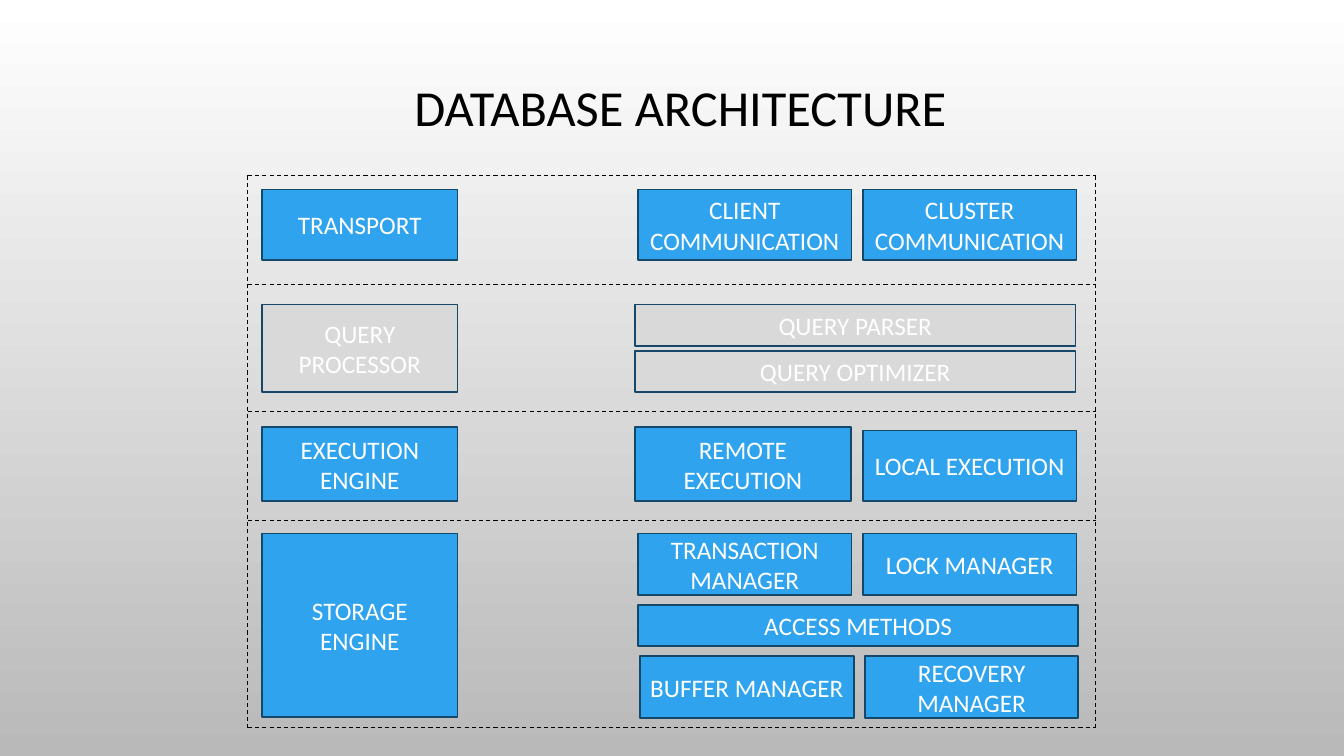
from itertools import accumulate

from lxml.etree import SubElement
from pptx import Presentation
from pptx.dml.color import RGBColor
from pptx.enum.dml import MSO_LINE
from pptx.enum.shapes import MSO_CONNECTOR, MSO_SHAPE
from pptx.enum.text import MSO_ANCHOR, PP_ALIGN
from pptx.oxml.ns import qn
from pptx.util import Pt

WHITE = RGBColor(0xFF, 0xFF, 0xFF)
BLACK = RGBColor(0x00, 0x00, 0x00)
BACKDROP_GREY = RGBColor(0xB9, 0xB9, 0xB9)
BLUE = RGBColor(0x2F, 0xA3, 0xEE)
PALE_GREY = RGBColor(0xD9, 0xD9, 0xD9)
NAVY = RGBColor(0x15, 0x47, 0x68)

FONT = "Calibri"
LABEL_LEFT, LABEL_WIDTH = 10.1, 139.7
HALF, WIDE_HALF, FULL = 152.6, 154.1, 314.6

# Each layer: name, height, fill, label top, label height, modules.
# Each module: name, left, top, width, height, measured from the layer corner.
LAYERS = [
    ("TRANSPORT", 77.8, BLUE, 10.1, 50.4, [
        ("CLIENT COMMUNICATION", 278.6, 10.1, HALF, 50.4),
        ("CLUSTER COMMUNICATION", 439.2, 10.1, HALF, 50.4),
    ]),
    ("QUERY PROCESSOR", 90.7, PALE_GREY, 14.4, 62.6, [
        ("QUERY PARSER", 276.5, 14.4, FULL, 29.5),
        ("QUERY OPTIMIZER", 276.5, 47.5, FULL, 29.5),
    ]),
    ("EXECUTION ENGINE", 77.8, BLUE, 11.5, 52.6, [
        ("REMOTE EXECUTION", 276.5, 11.5, WIDE_HALF, 52.6),
        ("LOCAL EXECUTION", 439.2, 13.7, HALF, 50.4),
    ]),
    ("STORAGE ENGINE", 148.3, BLUE, 9.4, 131, [
        ("TRANSACTION MANAGER", 278.6, 9.4, HALF, 43.9),
        ("LOCK MANAGER", 439.2, 9.4, HALF, 43.9),
        ("ACCESS METHODS", 278.6, 60.5, FULL, 29.5),
        ("BUFFER MANAGER", 280.1, 97.2, HALF, 43.9),
        ("RECOVERY MANAGER", 440.6, 97.2, HALF, 43.9),
    ]),
]


def set_text(shape, text, size, color):
    """Put one centred paragraph in the middle of the shape."""
    frame = shape.text_frame
    frame.word_wrap = True
    frame.vertical_anchor = MSO_ANCHOR.MIDDLE
    frame.text = text
    para = frame.paragraphs[0]
    para.alignment = PP_ALIGN.CENTER
    para.font.name = FONT
    para.font.size = Pt(size)
    para.font.color.rgb = color
    return para


def add_block(page, name, left, top, width, height, fill):
    block = page.shapes.add_shape(
        MSO_SHAPE.RECTANGLE, Pt(left), Pt(top), Pt(width), Pt(height))
    block.shadow.inherit = False
    block.fill.solid()
    block.fill.fore_color.rgb = fill
    block.line.color.rgb = NAVY
    block.line.width = Pt(1.25)
    set_text(block, name, 18, WHITE)


def add_dashed_line(page, x1, y1, x2, y2):
    rule = page.shapes.add_connector(
        MSO_CONNECTOR.STRAIGHT, Pt(x1), Pt(y1), Pt(x2), Pt(y2))
    rule.line.color.rgb = BLACK
    rule.line.width = Pt(0.75)
    rule.line.dash_style = MSO_LINE.DASH
    SubElement(rule._element.spPr, qn("a:effectLst"))


def add_layer(page, left, top, layer):
    name, _, fill, label_top, label_height, modules = layer
    add_block(page, name, left + LABEL_LEFT, top + label_top,
              LABEL_WIDTH, label_height, fill)
    for module, dx, dy, width, height in modules:
        add_block(page, module, left + dx, top + dy, width, height, fill)


def add_diagram(page, left, top, width):
    """Stack the layers and frame them with dashed lines."""
    edges = list(accumulate((layer[1] for layer in LAYERS), initial=top))
    for edge, layer in zip(edges, LAYERS):
        add_layer(page, left, edge, layer)
    right = left + width
    for edge in edges:
        add_dashed_line(page, left, edge, right, edge)
    for x in (left, right):
        add_dashed_line(page, x, top, x, edges[-1])


def add_title(page, text, left, top, width, height):
    box = page.shapes.add_textbox(Pt(left), Pt(top), Pt(width), Pt(height))
    para = set_text(box, text, 36, BLACK)
    para.line_spacing = 0.9


def paint_background(page):
    fill = page.background.fill
    fill.gradient()
    fill.gradient_angle = 270
    for stop, color in zip(fill.gradient_stops, (WHITE, BACKDROP_GREY)):
        stop.color.rgb = color


def main():
    deck = Presentation()
    deck.slide_width, deck.slide_height = Pt(960), Pt(540)
    page = deck.slides.add_slide(deck.slide_layouts[6])
    paint_background(page)
    add_diagram(page, 177.1, 125.3, 605.5)
    add_title(page, "DATABASE ARCHITECTURE", 77.8, 15.8, 816.5, 126)
    deck.save("out.pptx")


if __name__ == "__main__":
    main()
